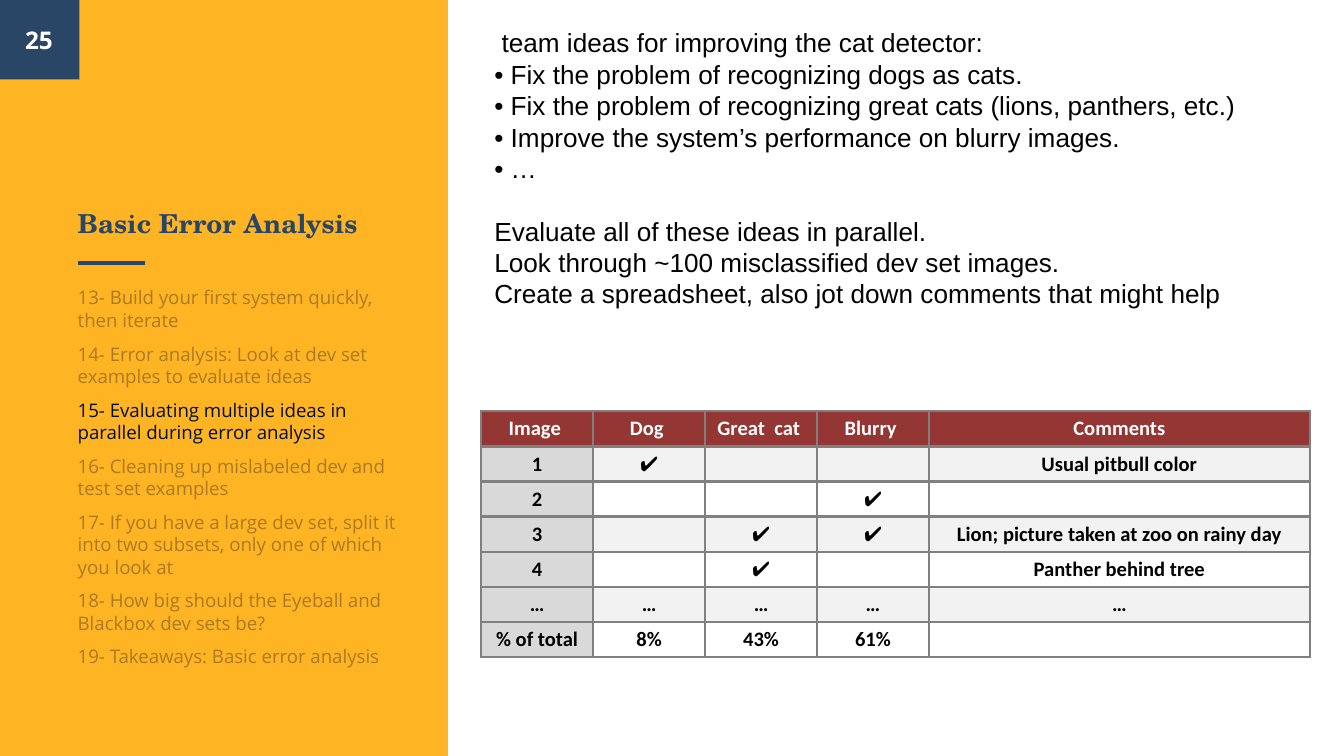
from lxml import etree
from pptx import Presentation
from pptx import util as u
from pptx.dml.color import RGBColor
from pptx.enum import shapes, text
from pptx.oxml.ns import qn

WIDTH = 10
HEIGHT = WIDTH * 9 / 16
SIDEBAR = WIDTH / 3

COLORS = {
    "amber": "FFA800", "navy": "294667", "white": "FFFFFF", "black": "000000",
    "muted": "AB7A22", "current": "021028", "header": "943634",
    "label": "D9D9D9", "band": "F2F2F2", "border": "808080",
}


def rgb(name):
    return RGBColor.from_string(COLORS[name])


class Deck:
    """Holds the style and the current slide."""

    def __init__(self):
        self.prs = Presentation()
        self.prs.slide_width, self.prs.slide_height = u.Inches(WIDTH), u.Inches(HEIGHT)
        self.s = self.prs.slides.add_slide(self.prs.slide_layouts[6])

    def style(self, p, font, size, color, bold=False):
        for r in p.runs:
            r.font.name, r.font.size, r.font.bold = font, u.Pt(size), bold
            r.font.color.rgb = rgb(color)

    def rect(self, box, color, alpha=None):
        sp = self.s.shapes.add_shape(shapes.MSO_SHAPE.RECTANGLE, *map(u.Inches, box))
        sp.shadow.inherit = False
        sp.fill.solid()
        sp.fill.fore_color.rgb = rgb(color)
        sp.line.fill.background()
        if alpha:
            clr = sp._element.spPr.find(qn("a:solidFill"))[0]
            etree.SubElement(clr, qn("a:alpha"), val=str(alpha * 1000))

    def line(self, x1, y1, x2, y2, color, width):
        c = self.s.shapes.add_connector(
            shapes.MSO_CONNECTOR.STRAIGHT, *map(u.Inches, (x1, y1, x2, y2)))
        c.line.color.rgb, c.line.width = rgb(color), u.Pt(width)
        etree.SubElement(c._element.spPr, qn("a:effectLst"))

    def text(self, box, lines, font, size, color, bold=False, inset_y=0.1,
             anchor=text.MSO_ANCHOR.TOP, align=None):
        tf = self.s.shapes.add_textbox(*map(u.Inches, box)).text_frame
        tf.text = "\n".join(lines)
        tf.word_wrap, tf.vertical_anchor = True, anchor
        tf.margin_left = tf.margin_right = u.Inches(0.1)
        tf.margin_top = tf.margin_bottom = u.Inches(inset_y)
        for p in tf.paragraphs:
            p.alignment = align
            self.style(p, font, size, color, bold)
        return tf

    def cell(self, cell, value, color, fill):
        cell.text = value
        cell.vertical_anchor = text.MSO_ANCHOR.MIDDLE
        cell.margin_left = cell.margin_right = u.Inches(0.07)
        cell.margin_top = cell.margin_bottom = 0
        p = cell.text_frame.paragraphs[0]
        p.alignment = text.PP_ALIGN.CENTER
        self.style(p, "Calibri", 11, color, True)
        if not value:  # keeps empty rows from growing
            etree.SubElement(p._p, qn("a:endParaRPr"), sz="1100")
        # Borders come before the fill in the cell properties
        tcPr = cell._tc.get_or_add_tcPr()
        for side in ("lnL", "lnR", "lnT", "lnB"):
            ln = etree.SubElement(tcPr, qn("a:" + side), w=str(u.Pt(1.5)))
            solid = etree.SubElement(ln, qn("a:solidFill"))
            etree.SubElement(solid, qn("a:srgbClr"), val=COLORS["border"])
        if fill:
            cell.fill.solid()
            cell.fill.fore_color.rgb = rgb(fill)
        else:
            cell.fill.background()

    def table(self, box, widths, rows):
        tbl = self.s.shapes.add_table(
            len(rows), len(widths), *map(u.Inches, box)).table
        for col, width in zip(tbl.columns, widths):
            col.width = u.Inches(width)
        for i, row in enumerate(rows):
            for j, value in enumerate(row):
                if i == 0:
                    fill = "header"
                elif j == 0:
                    fill = "label"
                else:
                    fill = "band" if i % 2 else None
                self.cell(tbl.cell(i, j), value, "black" if i else "white", fill)


def main():
    d = Deck()

    # Background panels, title rule and number tile
    d.rect((0, 0, SIDEBAR, HEIGHT), "amber", alpha=86)
    d.rect((SIDEBAR, 0, WIDTH - SIDEBAR, HEIGHT), "white")
    d.line(0.58, 1.96, 1.08, 1.96, "navy", 2.25)
    d.rect((0, 0, 0.59, 0.59), "navy")

    # Title and slide number
    d.text((0.48, 1.14, 2.35, 0.74), ["Basic Error Analysis"], "TeX Gyre Schola", 14,
           "navy", True, anchor=text.MSO_ANCHOR.BOTTOM)
    d.text((-0.01, 0, 0.6, 0.59), ["25"], "Open Sans", 13, "white", True,
           anchor=text.MSO_ANCHOR.MIDDLE, align=text.PP_ALIGN.CENTER)

    # Chapter list with the current chapter highlighted
    chapters = [
        "13- Build your first system quickly, then iterate",
        "14- Error analysis: Look at dev set examples to evaluate ideas",
        "15- Evaluating multiple ideas in parallel during error analysis",
        "16- Cleaning up mislabeled dev and test set examples",
        "17- If you have a large dev set, split it into two subsets, "
        "only one of which you look at",
        "18- How big should the Eyeball and Blackbox dev sets be?",
        "19- Takeaways: Basic error analysis",
    ]
    tf = d.text((0.48, 2.03, 2.68, 3.45), chapters, "Open Sans", 10, "muted")
    for p in tf.paragraphs[1:]:
        p.space_before = u.Pt(6)
    d.style(tf.paragraphs[2], "Open Sans", 10, "current")

    # Ideas, then the way to evaluate them
    ideas = [
        " team ideas for improving the cat detector:",
        "• Fix the problem of recognizing dogs as cats.",
        "• Fix the problem of recognizing great cats (lions, panthers, etc.)",
        "• Improve the system’s performance on blurry images.",
        "• …",
    ]
    steps = [
        "Evaluate all of these ideas in parallel.",
        "Look through ~100 misclassified dev set images.",
        "Create a spreadsheet, also jot down comments that might help",
    ]
    tf = d.text((3.58, 0.15, 6.17, 2.22), ideas + steps, "Arial", 14, "black", inset_y=0.05)
    tf.paragraphs[len(ideas)].space_before = u.Pt(16.8)

    # Error analysis spreadsheet
    d.table((3.58, 3.06, 6.17, 1.83), [5 / 6] * 4 + [17 / 6], [
        ["Image ", "Dog ", "Great  cat ", "Blurry ", "Comments"],
        ["1", "✔", "", "", "Usual pitbull color"],
        ["2", "", "", "✔", ""],
        ["3", "", "✔", "✔", "Lion; picture taken at zoo on rainy day"],
        ["4", "", "✔", "", "Panther behind tree"],
        ["…"] * 5,
        ["% of total", "8%", "43%", "61%", ""],
    ])

    d.prs.save("out.pptx")


if __name__ == "__main__":
    main()
